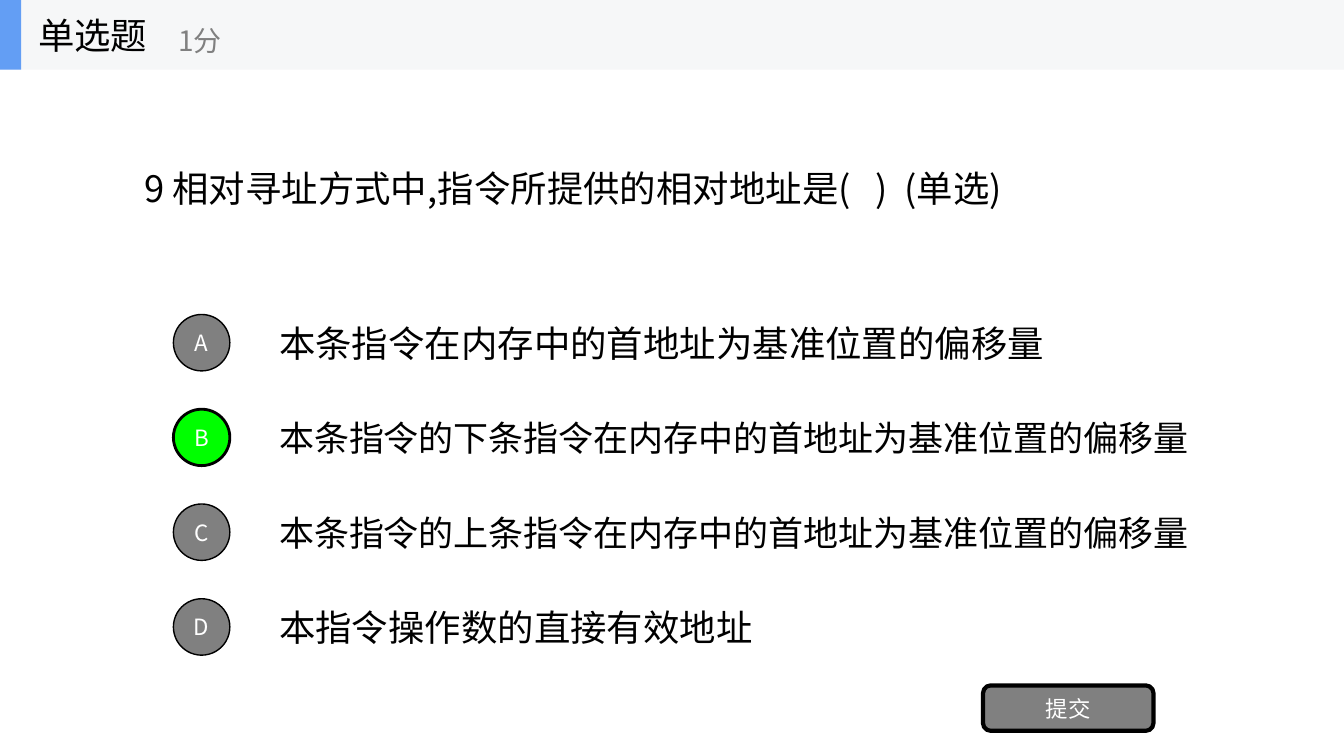
from lxml import etree
from pptx import Presentation
from pptx.dml.color import RGBColor
from pptx.enum import shapes, text
from pptx.oxml.ns import qn
from pptx.util import Inches, Pt

FONT = "Noto Sans CJK SC"
BLACK = RGBColor(0x00, 0x00, 0x00)
WHITE = RGBColor(0xFF, 0xFF, 0xFF)
GRAY = RGBColor(0x80, 0x80, 0x80)
GREEN = RGBColor(0x00, 0xFF, 0x00)
BLUE = RGBColor(0x63, 0x9E, 0xF4)
PALE = RGBColor(0xF6, 0xF7, 0xF8)

QUESTION = "9 相对寻址方式中,指令所提供的相对地址是(   )  (单选)"
# Letter, wording, text size, fill and outline width
OPTIONS = [
    ("A", "本条指令在内存中的首地址为基准位置的偏移量", 26, GRAY, 1),
    ("B", "本条指令的下条指令在内存中的首地址为基准位置的偏移量", 25, GREEN, 2),
    ("C", "本条指令的上条指令在内存中的首地址为基准位置的偏移量", 25, GRAY, 1),
    ("D", "本指令操作数的直接有效地址", 26, GRAY, 1),
]


def write(box, words, size, color, align=text.PP_ALIGN.LEFT):
    frame = box.text_frame
    frame.text = words
    frame.word_wrap = True
    frame.vertical_anchor = text.MSO_ANCHOR.MIDDLE
    para = frame.paragraphs[0]
    para.alignment = align
    span = para.runs[0]
    span.font.size = Pt(size)
    span.font.name = FONT
    span.font.color.rgb = color
    # East Asian characters take their own font entry
    etree.SubElement(span.font._element, qn("a:ea"), typeface=FONT)


def add_label(page, left, top, width, height, words, size, color=BLACK):
    box = page.shapes.add_textbox(
        Inches(left), Inches(top), Inches(width), Inches(height))
    write(box, words, size, color)


def add_block(page, kind, left, top, width, height, fill, line_width=0):
    block = page.shapes.add_shape(
        kind, Inches(left), Inches(top), Inches(width), Inches(height))
    block.shadow.inherit = False
    block.fill.solid()
    block.fill.fore_color.rgb = fill
    if line_width:
        block.line.color.rgb = BLACK
        block.line.width = Pt(line_width)
    else:
        block.line.fill.background()
    return block


def add_button(page, kind, left, top, width, height, fill, line_width, words):
    button = add_block(page, kind, left, top, width, height, fill, line_width)
    write(button, words, 16, WHITE, text.PP_ALIGN.CENTER)
    frame = button.text_frame
    frame.margin_left = frame.margin_right = 0
    frame.margin_top = frame.margin_bottom = 0


def add_header(page, left, top, width, height):
    rectangle = shapes.MSO_SHAPE.RECTANGLE
    add_block(page, rectangle, left, top, width, height, PALE)
    add_block(page, rectangle, left, top, 0.21, height, BLUE)
    add_label(page, left + 0.28, top, 2.08, height, "单选题", 26)
    add_label(page, left + 1.67, top + 0.12, 2.5, 0.56, "1分", 20, GRAY)


def add_options(page, left, top, width, pitch):
    circle, indent, text_height = 0.56, 0.95, 0.53
    for row, (letter, words, size, fill, line_width) in enumerate(OPTIONS):
        row_top = top + row * pitch
        add_label(page, left + indent, row_top + (circle - text_height) / 2,
                  width - indent, text_height, words, size)
        add_button(page, shapes.MSO_SHAPE.OVAL, left, row_top,
                   circle, circle, fill, line_width, letter)


def main():
    deck = Presentation()
    deck.slide_width, deck.slide_height = Inches(13.33), Inches(7.5)
    page = deck.slides.add_slide(deck.slide_layouts[6])

    # Question and answers
    add_label(page, 1.33, 1.6, 8.85, 0.53, QUESTION, 26)
    add_options(page, 1.72, 3.12, 10.18, 0.94)

    # Submit button
    add_button(page, shapes.MSO_SHAPE.ROUNDED_RECTANGLE,
               9.75, 6.8, 1.69, 0.45, GRAY, 3, "提交")

    # Title bar
    add_header(page, 0, 0, 13.33, 0.69)
    deck.save("out.pptx")


if __name__ == "__main__":
    main()
